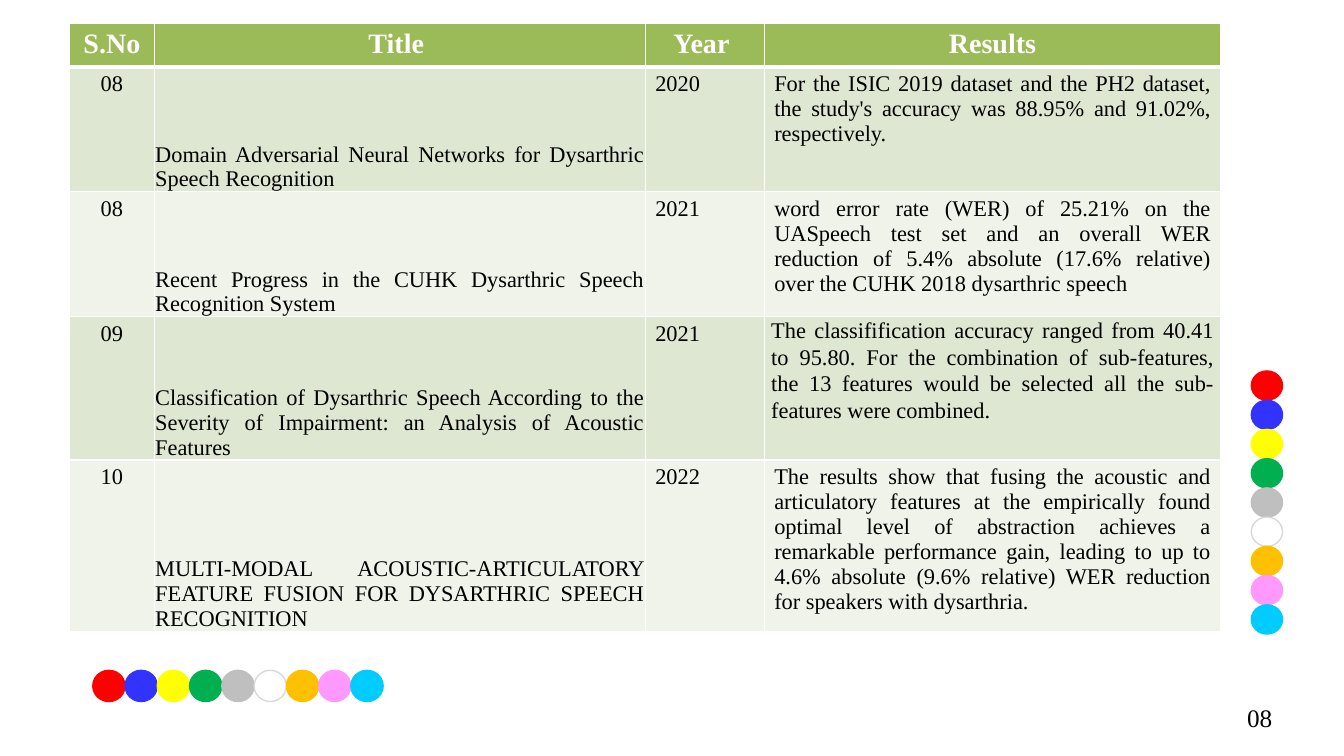
from dataclasses import dataclass

from lxml import etree
from pptx import Presentation
from pptx.dml.color import RGBColor
from pptx.enum.shapes import MSO_SHAPE
from pptx.enum.text import MSO_ANCHOR, PP_ALIGN
from pptx.oxml.ns import qn
from pptx.slide import Slide
from pptx.table import _Cell
from pptx.text.text import TextFrame
from pptx.util import Inches, Pt

LEFT, CENTER, JUSTIFY = PP_ALIGN.LEFT, PP_ALIGN.CENTER, PP_ALIGN.JUSTIFY
TOP, BOTTOM = MSO_ANCHOR.TOP, MSO_ANCHOR.BOTTOM
DOT = MSO_SHAPE.FLOWCHART_CONNECTOR

FONT = "Times New Roman"
BLACK = RGBColor(0x00, 0x00, 0x00)
WHITE = RGBColor(0xFF, 0xFF, 0xFF)
GREEN = RGBColor(0x9B, 0xBB, 0x59)
DARK_BAND = RGBColor(0xDE, 0xE7, 0xD1)
LIGHT_BAND = RGBColor(0xEF, 0xF3, 0xEA)
DOT_OUTLINE = RGBColor(0xD9, 0xD9, 0xD9)
DOT_COLORS = (
    RGBColor(0xFF, 0x00, 0x00),
    RGBColor(0x33, 0x33, 0xFF),
    RGBColor(0xFF, 0xFF, 0x00),
    RGBColor(0x00, 0xB0, 0x50),
    RGBColor(0xBF, 0xBF, 0xBF),
    WHITE,
    RGBColor(0xFF, 0xC0, 0x00),
    RGBColor(0xFF, 0x99, 0xFF),
    RGBColor(0x00, 0xCC, 0xFF),
)

COLUMN_WIDTHS = (0.84, 4.87, 1.18, 4.53)
ROW_HEIGHTS = (0.43, 1.24, 1.24, 1.42, 1.69)
DEFAULT_MARGINS = (0.1, 0.05, 0.1, 0.05)
TITLE_MARGINS = (0.01, 0.01, 0.01, 0)
HEADERS = ("S.No", "Title ", "Year ", "Results")


@dataclass(frozen=True)
class Study:
    number: str
    title: str
    year: str
    results: str
    results_margins: tuple[float, ...] = DEFAULT_MARGINS
    results_spacing: float = 1.0


@dataclass(frozen=True)
class DotStrip:
    left: float
    top: float
    width: float
    height: float
    step_x: float
    step_y: float
    rotation: float


STUDIES = (
    Study("08", "Domain Adversarial Neural Networks for Dysarthric Speech Recognition", "2020",
          "For the ISIC 2019 dataset and the PH2 dataset, the study's accuracy was 88.95% "
          "and 91.02%, respectively."),
    Study("08", "Recent Progress in the CUHK Dysarthric Speech Recognition System", "2021",
          "word error rate (WER) of 25.21% on the UASpeech test set and an overall WER "
          "reduction of 5.4% absolute (17.6% relative) over the CUHK 2018 dysarthric speech"),
    Study("09", "Classification of Dysarthric Speech According to the Severity of Impairment: "
          "an Analysis of Acoustic Features", "2021",
          "The classifification accuracy ranged from 40.41 to 95.80. For the combination of "
          "sub-features, the 13 features would be selected all the sub-features were combined.",
          results_margins=(0.07, 0, 0.07, 0), results_spacing=1.07),
    Study("10", "MULTI-MODAL ACOUSTIC-ARTICULATORY FEATURE FUSION FOR DYSARTHRIC SPEECH "
          "RECOGNITION", "2022",
          "The results show that fusing the acoustic and articulatory features at the "
          "empirically found optimal level of abstraction achieves a remarkable performance "
          "gain, leading to up to 4.6% absolute (9.6% relative) WER reduction for speakers "
          "with dysarthria."),
)

DOT_STRIPS = (
    DotStrip(12.42, 3.67, 0.29, 0.31, 0, 0.29, 90),
    DotStrip(0.92, 6.65, 0.32, 0.31, 0.32, 0, 0),
)


def write_text(frame: TextFrame, text: str, *, size: float = 16, color: RGBColor = BLACK,
               bold: bool = False, alignment: PP_ALIGN = LEFT, spacing: float = 1.0) -> None:
    frame.word_wrap = True
    paragraph = frame.paragraphs[0]
    paragraph.alignment = alignment
    paragraph.line_spacing = spacing
    run = paragraph.add_run()
    run.text = text
    run.font.name = FONT
    run.font.size = Pt(size)
    run.font.bold = bold
    run.font.color.rgb = color


def set_borders(cell: _Cell, bottom_width: float) -> None:
    properties = cell._tc.get_or_add_tcPr()
    for side, width in (("lnL", 1), ("lnR", 1), ("lnT", 1), ("lnB", bottom_width)):
        line = etree.SubElement(properties, qn(f"a:{side}"), w=str(Pt(width)))
        fill = etree.SubElement(line, qn("a:solidFill"))
        etree.SubElement(fill, qn("a:srgbClr"), val=str(WHITE))


def style_cell(cell: _Cell, fill: RGBColor, *, bottom_width: float = 1,
               margins: tuple[float, ...] = DEFAULT_MARGINS,
               anchor: MSO_ANCHOR = TOP) -> None:
    set_borders(cell, bottom_width)
    cell.fill.solid()
    cell.fill.fore_color.rgb = fill
    cell.vertical_anchor = anchor
    cell.margin_left, cell.margin_top, cell.margin_right, cell.margin_bottom = map(Inches, margins)


def add_dots(slide: Slide, strip: DotStrip) -> None:
    for index, color in enumerate(DOT_COLORS):
        dot = slide.shapes.add_shape(
            DOT, Inches(strip.left + index * strip.step_x),
            Inches(strip.top + index * strip.step_y), Inches(strip.width), Inches(strip.height))
        dot.rotation = strip.rotation
        dot.shadow.inherit = False
        dot.fill.solid()
        dot.fill.fore_color.rgb = color
        dot.line.color.rgb = DOT_OUTLINE if color == WHITE else color
        dot.line.width = Pt(1)


def add_studies_table(slide: Slide) -> None:
    table = slide.shapes.add_table(
        len(ROW_HEIGHTS), len(COLUMN_WIDTHS), Inches(0.69), Inches(0.23),
        Inches(sum(COLUMN_WIDTHS)), Inches(sum(ROW_HEIGHTS))).table
    for column, width in zip(table.columns, COLUMN_WIDTHS):
        column.width = Inches(width)
    for row, height in zip(table.rows, ROW_HEIGHTS):
        row.height = Inches(height)

    for cell, header in zip(table.rows[0].cells, HEADERS):
        style_cell(cell, GREEN, bottom_width=3)
        write_text(cell.text_frame, header, size=20, color=WHITE, bold=True, alignment=CENTER)

    for index, study in enumerate(STUDIES):
        band = LIGHT_BAND if index % 2 else DARK_BAND
        number, title, year, results = table.rows[index + 1].cells
        style_cell(number, band)
        write_text(number.text_frame, study.number, alignment=CENTER)
        style_cell(title, band, margins=TITLE_MARGINS, anchor=BOTTOM)
        write_text(title.text_frame, study.title, alignment=JUSTIFY)
        style_cell(year, band)
        write_text(year.text_frame, study.year)
        style_cell(results, band, margins=study.results_margins)
        write_text(results.text_frame, study.results, alignment=JUSTIFY,
                   spacing=study.results_spacing)


def main() -> None:
    presentation = Presentation()
    presentation.slide_width = Inches(13.33)
    presentation.slide_height = Inches(7.5)
    slide = presentation.slides.add_slide(presentation.slide_layouts[6])
    for strip in DOT_STRIPS:
        add_dots(slide, strip)
    page_number = slide.shapes.add_textbox(Inches(12.27), Inches(6.92), Inches(0.95), Inches(0.4))
    write_text(page_number.text_frame, "08", size=18)
    add_studies_table(slide)
    presentation.save("out.pptx")


if __name__ == "__main__":
    main()
